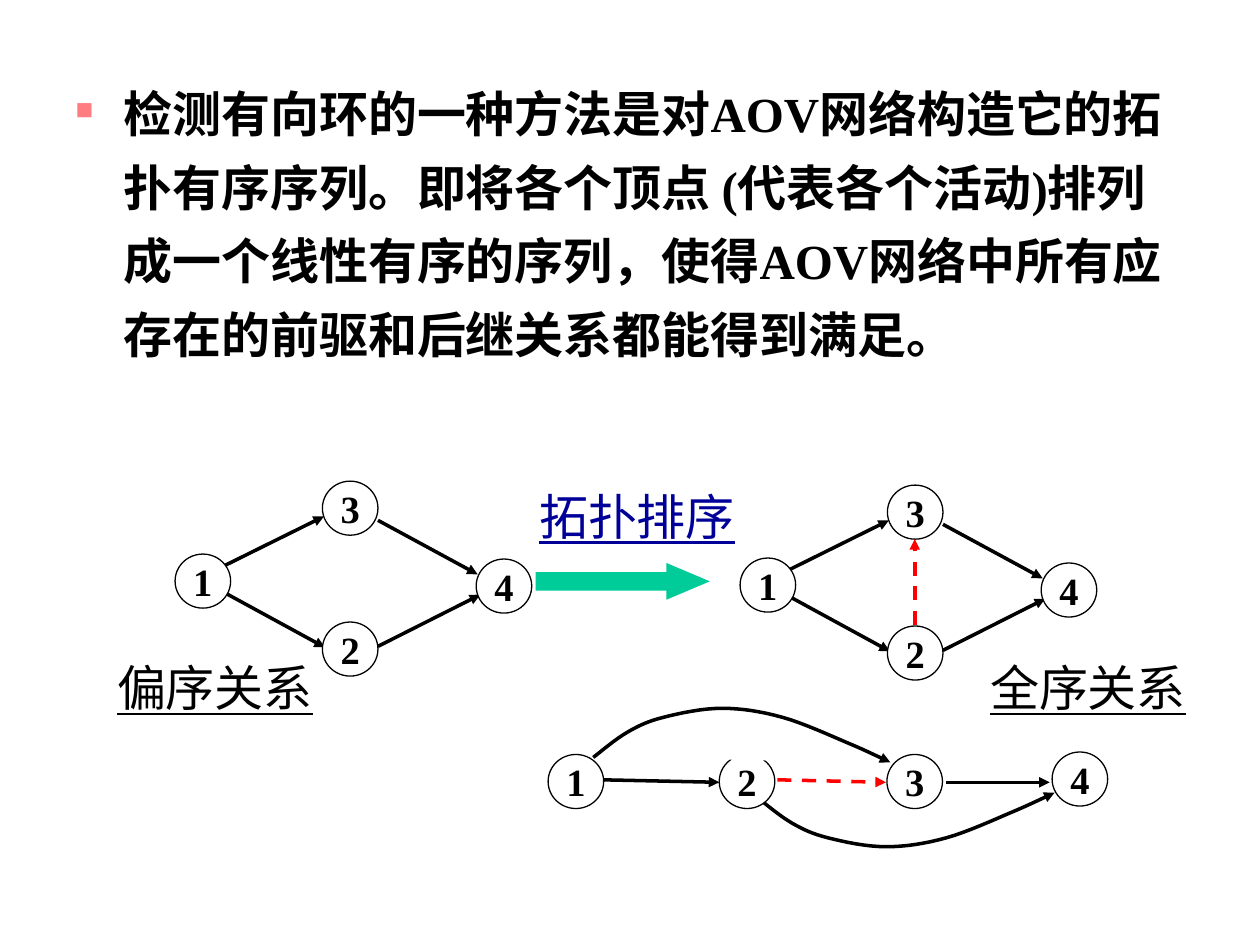
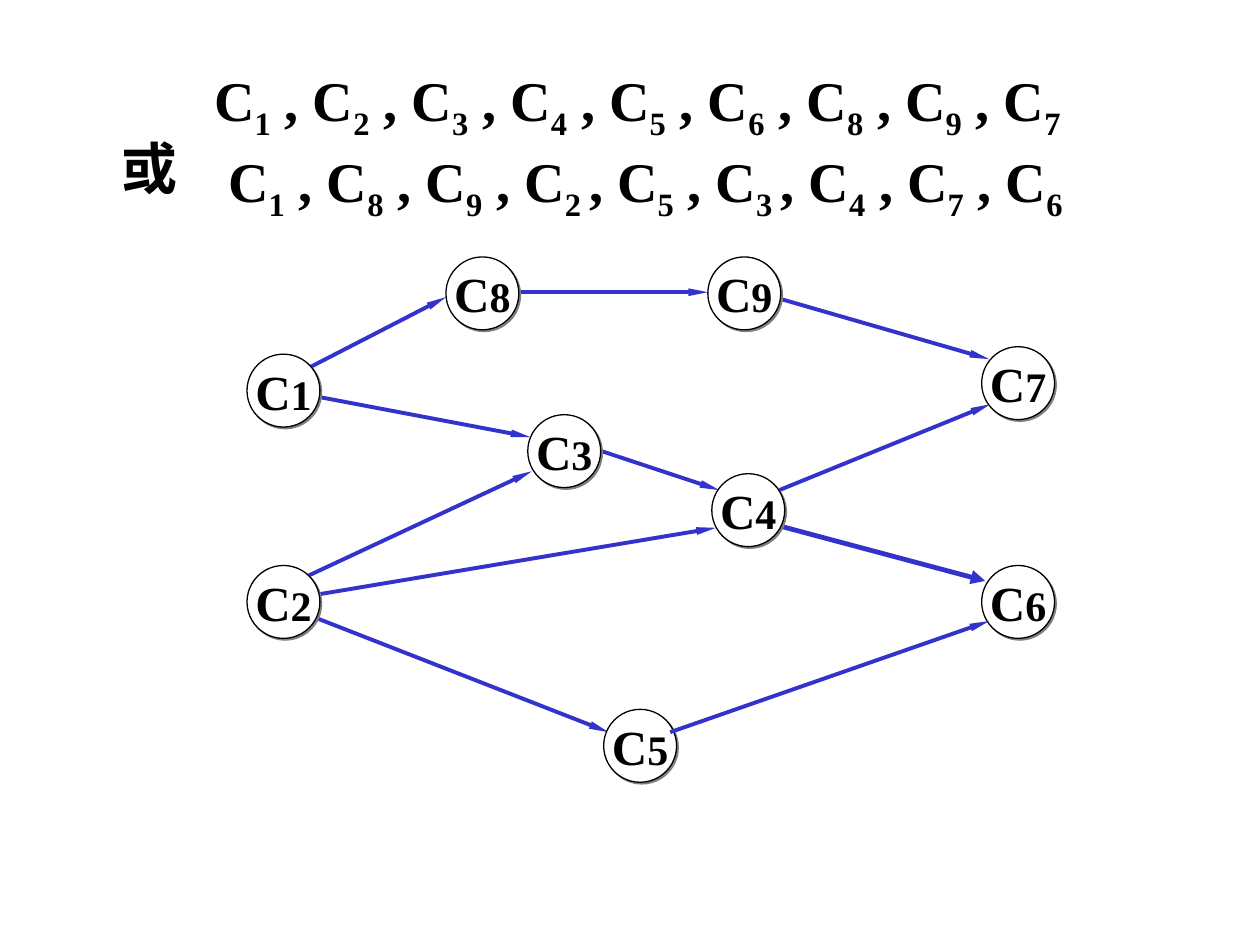
from lxml import etree
from pptx import Presentation
from pptx.dml.color import RGBColor
from pptx.enum.dml import MSO_LINE
from pptx.enum.shapes import MSO_CONNECTOR, MSO_SHAPE
from pptx.enum.text import MSO_ANCHOR, PP_ALIGN
from pptx.oxml.ns import qn
from pptx.util import Cm, Pt

FONT = "Times New Roman"
BLACK = RGBColor(0x00, 0x00, 0x00)
WHITE = RGBColor(0xFF, 0xFF, 0xFF)
NAVY = RGBColor(0x00, 0x00, 0x99)
BLUE = RGBColor(0x33, 0x33, 0xCC)
RED = RGBColor(0xFF, 0x00, 0x00)
GREEN = RGBColor(0x00, 0xCC, 0x99)
PINK = RGBColor(0xFF, 0x7C, 0x80)
GREY = RGBColor(0x80, 0x80, 0x80)

ELLIPSE = MSO_SHAPE.OVAL
RIGHT_ARROW = MSO_SHAPE.RIGHT_ARROW
STRAIGHT = MSO_CONNECTOR.STRAIGHT
DASH = MSO_LINE.DASH
MIDDLE = MSO_ANCHOR.MIDDLE
CENTER = PP_ALIGN.CENTER

SMALL_NODE = (1.12, 1.09)
COURSE_NODE = (1.47, 1.47)
NARROW_HEAD = ("sm", "lg")
MEDIUM_HEAD = ("med", "med")

DIAMOND_NODES = {"1": (0, 1.47), "3": (2.97, 0), "2": (2.97, 2.84), "4": (6.07, 1.57)}
DIAMOND_EDGES = [
    (0.94, 1.73, 3, 0.71),
    (1.02, 2.26, 3.02, 3.35),
    (4.09, 3.33, 6.15, 2.29),
    (4.09, 0.79, 6.1, 1.88),
]
CHAIN_NODES = {
    "1": (11.05, 15.21), "2": (14.5, 15.21), "3": (17.88, 15.21), "4": (21.21, 15.16),
}
ARC_POINTS = [
    (0, 0), (0.69, 0.51), (1.42, 0.81), (2.59, 0.99), (3.81, 0.81), (5.16, 0.28), (5.99, -0.1),
]
COURSE_NODES = {
    "8": (8.99, 5.18), "3": (10.64, 8.36), "5": (12.17, 14.3),
    "4": (14.35, 9.55), "9": (14.27, 5.18), "6": (19.79, 11.4),
    "7": (19.79, 6.99), "1": (4.98, 7.14), "2": (4.98, 11.4),
}
COURSE_EDGES = [
    (6.07, 12.04, 14.43, 10.64),
    (11.96, 9.04, 14.5, 9.88),
    (15.54, 5.97, 19.94, 7.24),
    (15.39, 10.01, 19.96, 8.15),
    (9.83, 5.89, 14.27, 5.89),
    (6.02, 12.32, 12.27, 14.76),
    (5.99, 11.71, 10.72, 9.5),
    (5.36, 7.8, 10.69, 8.81),
    (6.02, 7.52, 8.99, 5.99),
]
FIRST_ORDER = "C|1| , C|2| , C|3| , C|4| , C|5| , C|6| , C|8| , C|9| , C|7"
SECOND_ORDER = "C|1| , C|8| , C|9| , C|2 |, C|5| , C|3 |, C|4| , C|7| , C|6"
METHOD = (
    "检测有向环的一种方法是对AOV网络构造它的拓扑有序序列。"
    "即将各个顶点 (代表各个活动)排列成一个线性有序的序列，"
    "使得AOV网络中所有应存在的前驱和后继关系都能得到满足。"
)


def add_element(parent, tag, **attributes):
    """Append a drawing element with the given attributes."""
    element = etree.SubElement(parent, qn(tag))
    for name, value in attributes.items():
        element.set(name, str(value))
    return element


def set_font(paragraph, size=None, color=BLACK, bold=True):
    """Set the font that all runs of a paragraph share."""
    font = paragraph.font
    font.name = FONT
    font.bold = bold
    font.color.rgb = color
    if size:
        font.size = Pt(size)


def set_indent(paragraph, left, first=0):
    """Set the left margin and first-line indent of a paragraph."""
    properties = paragraph._p.get_or_add_pPr()
    properties.set("marL", str(Cm(left)))
    properties.set("indent", str(Cm(first)))


def add_arrowhead(shape, head):
    """Put a triangle of the given width and length at the line's end."""
    outline = shape._element.spPr.find(qn("a:ln"))
    add_element(outline, "a:tailEnd", type="triangle", w=head[0], len=head[1])


def add_arrow(slide, ends, color=BLACK, width=2, head=MEDIUM_HEAD, dash=None):
    """Draw a straight arrow between two points."""
    connector = slide.shapes.add_connector(STRAIGHT, *(Cm(value) for value in ends))
    connector.line.color.rgb = color
    connector.line.width = Pt(width)
    if dash:
        connector.line.dash_style = dash
    add_arrowhead(connector, head)
    add_element(connector._element.spPr, "a:effectLst")


def add_shadow(shape):
    """Give a shape a hard grey shadow at its lower right."""
    effects = shape._element.spPr.find(qn("a:effectLst"))
    shadow = add_element(effects, "a:outerShdw", dist=Pt(1.4), dir=2700000, algn="ctr", rotWithShape=0)
    add_element(shadow, "a:srgbClr", val=GREY)


def add_node(slide, position, size, pieces):
    """Draw a white circle labelled with (text, size) pieces."""
    node = slide.shapes.add_shape(ELLIPSE, *(Cm(value) for value in (*position, *size)))
    node.shadow.inherit = False
    node.fill.solid()
    node.fill.fore_color.rgb = WHITE
    node.line.color.rgb = BLACK
    node.line.width = Pt(0.75)
    frame = node.text_frame
    frame.word_wrap = False
    frame.vertical_anchor = MIDDLE
    frame.margin_left = frame.margin_right = frame.margin_top = frame.margin_bottom = 0
    paragraph = frame.paragraphs[0]
    paragraph.alignment = CENTER
    set_font(paragraph)
    for text, points in pieces:
        run = paragraph.add_run()
        run.text = text
        run.font.size = Pt(points)
    return node


def add_text_frame(slide, left, top, width, height, wrap=True):
    """Add a text box and return its text frame."""
    box = slide.shapes.add_textbox(Cm(left), Cm(top), Cm(width), Cm(height))
    box.text_frame.word_wrap = wrap
    return box.text_frame


def add_caption(slide, text, left, top, color=BLACK):
    """Add an underlined caption."""
    paragraph = add_text_frame(slide, left, top, 4.45, 1.45, wrap=False).paragraphs[0]
    paragraph.text = text
    set_font(paragraph, 28, color, bold=False)
    paragraph.font.underline = True


def add_bullet_text(slide, text):
    """Add the bulleted body paragraph."""
    paragraph = add_text_frame(slide, 1.27, 1.27, 22.66, 7.98).paragraphs[0]
    paragraph.text = text
    paragraph.line_spacing = 1.25
    set_indent(paragraph, 0.97, -0.97)
    properties = paragraph._p.get_or_add_pPr()
    add_element(add_element(properties, "a:buClr"), "a:srgbClr", val=PINK)
    add_element(properties, "a:buSzPct", val=50000)
    add_element(properties, "a:buChar", char="■")
    set_font(paragraph, 28)


def add_sequence(paragraph, markup, indent):
    """Write a vertex sequence whose subscripts stand between bars."""
    set_indent(paragraph, indent)
    set_font(paragraph, 32)
    for index, text in enumerate(markup.split("|")):
        run = paragraph.add_run()
        run.text = text
        if index % 2:
            run._r.get_or_add_rPr().set("baseline", "-25000")


def smooth_points(points, steps=8):
    """Return points on a Catmull-Rom curve through the given points."""
    padded = [points[0], *points, points[-1]]
    curve = [points[0]]
    for a, b, c, d in zip(padded, padded[1:], padded[2:], padded[3:]):
        for step in range(1, steps + 1):
            t = step / steps
            curve.append(tuple(
                q + t * (r - p) / 2
                + t**2 * (2 * p - 5 * q + 4 * r - s) / 2
                + t**3 * (3 * q - p - 3 * r + s) / 2
                for p, q, r, s in zip(a, b, c, d)
            ))
    return curve


def add_arc(slide, left, top, direction):
    """Draw a curved arrow that bends down (1) or up (-1)."""
    points = [
        (Cm(left + x), Cm(top + direction * y)) for x, y in smooth_points(ARC_POINTS)
    ]
    builder = slide.shapes.build_freeform(*points[0])
    builder.add_line_segments(points[1:], close=False)
    arc = builder.convert_to_shape()
    arc.shadow.inherit = False
    arc.fill.solid()
    arc.fill.fore_color.rgb = WHITE
    arc.line.color.rgb = BLACK
    arc.line.width = Pt(2)
    add_arrowhead(arc, MEDIUM_HEAD)


def add_diamond(slide, left, top):
    """Draw the four-vertex graph with its corner at the given point."""
    for x1, y1, x2, y2 in DIAMOND_EDGES:
        add_arrow(slide, (left + x1, top + y1, left + x2, top + y2))
    for label, (x, y) in DIAMOND_NODES.items():
        add_node(slide, (left + x, top + y), SMALL_NODE, [(label, 22)])


def add_chain(slide):
    """Draw the vertices in one line with arcs above and below."""
    add_arc(slide, 15.27, 16.08, 1)
    add_arrow(slide, (12.14, 15.72, 14.5, 15.77))
    add_arrow(slide, (19.08, 15.77, 21.16, 15.77))
    add_arrow(slide, (15.67, 15.72, 17.86, 15.77), RED, dash=DASH)
    for label, position in CHAIN_NODES.items():
        add_node(slide, position, SMALL_NODE, [(label, 22)])
    add_arc(slide, 11.96, 15.27, -1)


def add_block_arrow(slide):
    """Draw the green arrow from partial to total order."""
    arrow = slide.shapes.add_shape(RIGHT_ARROW, Cm(10.8), Cm(11.35), Cm(3.51), Cm(0.74))
    arrow.shadow.inherit = False
    arrow.adjustments[1] = 1.18
    arrow.fill.solid()
    arrow.fill.fore_color.rgb = GREEN
    arrow.line.fill.background()


def build_sorting_slide(slide):
    """Explain topological sorting with a graph before and after."""
    add_bullet_text(slide, METHOD)
    add_block_arrow(slide)
    add_caption(slide, "拓扑排序", 10.62, 9.68, NAVY)
    add_chain(slide)
    add_diamond(slide, 3.53, 9.7)
    add_caption(slide, "偏序关系", 2.11, 13.13)
    add_diamond(slide, 14.92, 9.78)
    add_arrow(slide, (18.44, 12.6, 18.44, 10.87), RED, dash=DASH)
    add_caption(slide, "全序关系", 19.71, 13.13)


def build_course_slide(slide):
    """Show two topological orders of the course graph."""
    frame = add_text_frame(slide, 1.27, 1.19, 22.86, 3.45)
    add_sequence(frame.paragraphs[0], FIRST_ORDER, 2.8)
    second = frame.add_paragraph()
    second.space_before = Pt(3)
    add_sequence(second, SECOND_ORDER, 3.08)
    conjunction = add_text_frame(slide, 2.2, 2.57, 1.64, 1.6, wrap=False).paragraphs[0]
    conjunction.text = "或"
    set_font(conjunction, 32)
    for ends in COURSE_EDGES:
        add_arrow(slide, ends, BLUE, 2.25, NARROW_HEAD)
    add_arrow(slide, (15.67, 10.59, 19.86, 11.71), BLUE, 2.75)
    for number, position in COURSE_NODES.items():
        add_shadow(add_node(slide, position, COURSE_NODE, [("C", 28), (number, 24)]))
    add_arrow(slide, (13.51, 14.76, 19.94, 12.52), BLUE, 2.25, NARROW_HEAD)


def main():
    """Build both slides and save the presentation."""
    presentation = Presentation()
    presentation.slide_width = Cm(25.4)
    presentation.slide_height = Cm(19.05)
    blank = presentation.slide_layouts[6]
    for build in (build_sorting_slide, build_course_slide):
        build(presentation.slides.add_slide(blank))
    presentation.save("out.pptx")


if __name__ == "__main__":
    main()
